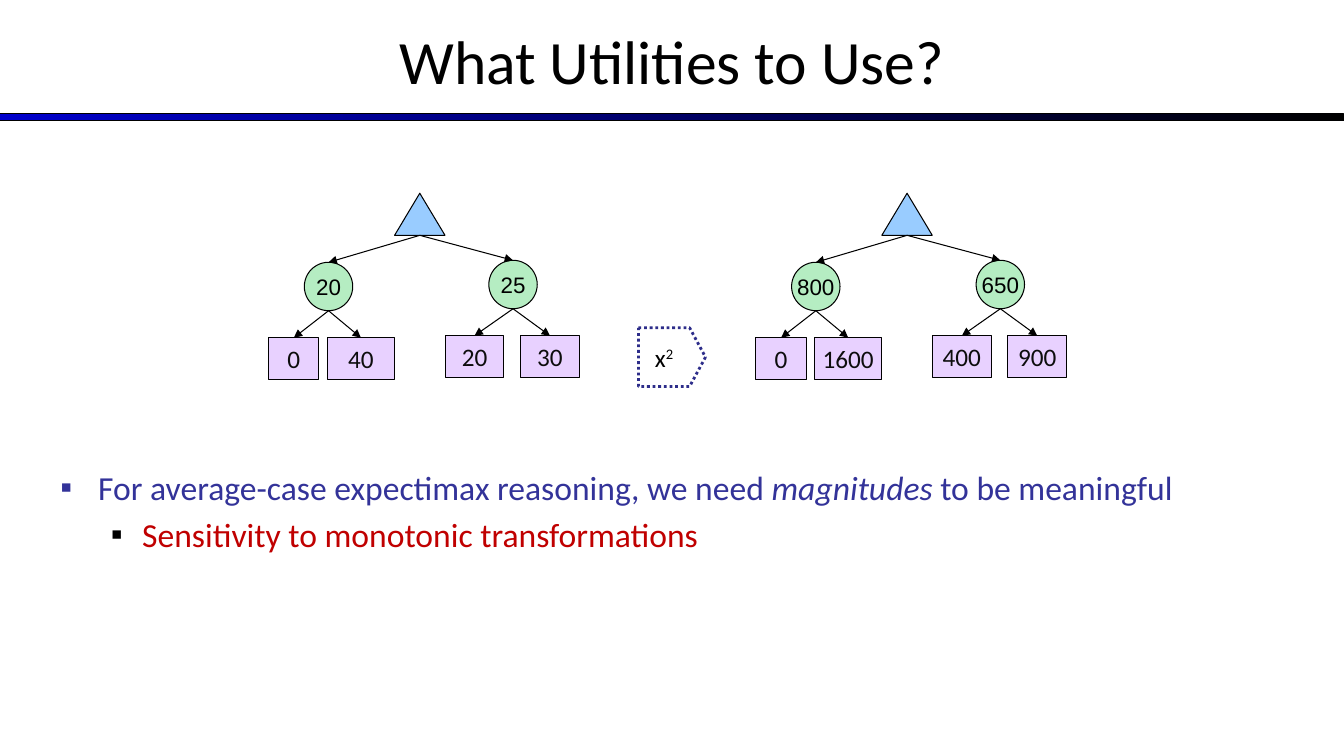
from dataclasses import dataclass

from lxml.etree import SubElement
from pptx import Presentation
from pptx.dml.color import RGBColor
from pptx.enum.dml import MSO_LINE
from pptx.enum.shapes import MSO_CONNECTOR, MSO_SHAPE
from pptx.enum.text import MSO_ANCHOR, MSO_AUTO_SIZE, PP_ALIGN
from pptx.oxml.ns import qn
from pptx.util import Cm, Pt


@dataclass(frozen=True)
class Theme:
    black: str = "000000"
    white: str = "FFFFFF"
    rule: str = "0000CC"
    indigo: str = "333399"
    dotted: str = "2D2D8A"
    red: str = "C00000"
    root: str = "99CCFF"
    chance: str = "B5EDC2"
    leaf: str = "E8D1FF"
    leaf_text: str = "0D0D0D"
    font: str = "Calibri"
    node_font: str = "Arial"
    title_size: float = 44
    body_size: float = 24
    leaf_size: float = 18
    node_size: float = 16
    outline: float = 0.75


THEME = Theme()
SLIDE_WIDTH, SLIDE_HEIGHT = 33.87, 19.05
LEAF_HEIGHT = 1.06
NODE_SIZE = 1.22


def rgb(color):
    return RGBColor.from_string(color)


def set_font(font, size, color, name=THEME.font):
    font.name, font.size = name, Pt(size)
    font.color.rgb = rgb(color)


def add_figure(page, kind, left, top, width, height, fill):
    shape = page.shapes.add_shape(kind, Cm(left), Cm(top), Cm(width), Cm(height))
    shape.shadow.inherit = False
    shape.fill.solid()
    shape.fill.fore_color.rgb = rgb(fill)
    shape.line.color.rgb = rgb(THEME.black)
    shape.line.width = Pt(THEME.outline)
    return shape


def add_label(shape, text, size, color, name=THEME.font):
    frame = shape.text_frame
    frame.word_wrap = False
    frame.vertical_anchor = MSO_ANCHOR.MIDDLE
    frame.margin_left = frame.margin_right = 0
    para = frame.paragraphs[0]
    para.text = text
    para.alignment = PP_ALIGN.CENTER
    set_font(para.font, size, color, name)


def add_arrow(page, start, end, target=None):
    points = [Cm(value) for value in (*start, *end)]
    arrow = page.shapes.add_connector(MSO_CONNECTOR.STRAIGHT, *points)
    if target is not None:
        arrow.end_connect(target, 0)
    arrow.line.color.rgb = rgb(THEME.black)
    arrow.line.width = Pt(THEME.outline)
    SubElement(arrow.line._get_or_add_ln(), qn("a:tailEnd"), type="triangle")
    SubElement(arrow._element.spPr, qn("a:effectLst"))


def add_branch(page, left, top, root, node_offset, leaf_boxes, value, leaves):
    middle = left + node_offset + NODE_SIZE / 2
    leaf_top = top + 1.9
    for (offset, width), text in zip(leaf_boxes, leaves):
        leaf = add_figure(page, MSO_SHAPE.RECTANGLE, left + offset, leaf_top,
                          width, LEAF_HEIGHT, THEME.leaf)
        add_label(leaf, text, THEME.leaf_size, THEME.leaf_text)
        add_arrow(page, (middle, top + NODE_SIZE),
                  (left + offset + width / 2, leaf_top), leaf)
    node = add_figure(page, MSO_SHAPE.OVAL, left + node_offset, top,
                      NODE_SIZE, NODE_SIZE, THEME.chance)
    add_label(node, value, THEME.node_size, THEME.black, THEME.node_font)
    add_arrow(page, root, (middle, top))


def add_tree(page, left, top, first, second):
    root = (left + 3.81, top + LEAF_HEIGHT)
    add_figure(page, MSO_SHAPE.ISOSCELES_TRIANGLE, root[0] - 0.635, top,
               1.27, LEAF_HEIGHT, THEME.root)
    add_branch(page, left, top + 1.74, root, 0.9,
               [(0, 1.27), (1.48, 1.69)], *first)
    add_branch(page, left + 4.45, top + 1.69, root, 1.1,
               [(0, 1.48), (1.9, 1.48)], *second)


def add_transform(page, left, top, width, height):
    shape = add_figure(page, MSO_SHAPE.RIGHT_ARROW, left, top, width, height, THEME.white)
    shape.adjustments[0], shape.adjustments[1] = 1, 0.27
    shape.line.color.rgb = rgb(THEME.dotted)
    shape.line.width = Pt(2)
    shape.line.dash_style = MSO_LINE.ROUND_DOT
    add_label(shape, "x", THEME.leaf_size, THEME.black)
    power = shape.text_frame.paragraphs[0].add_run()
    power.text = "2"
    power.font._element.set("baseline", "30000")


def place(box, left, top, width, height):
    box.left, box.top, box.width, box.height = Cm(left), Cm(top), Cm(width), Cm(height)
    box.text_frame.auto_size = MSO_AUTO_SIZE.NONE


def add_heading(page, left, top, width, height):
    title = page.shapes.title
    place(title, left, top, width, height)
    title.text_frame.vertical_anchor = MSO_ANCHOR.MIDDLE
    para = title.text_frame.paragraphs[0]
    para.text = "What Utilities to Use?"
    para.alignment = PP_ALIGN.CENTER
    set_font(para.font, THEME.title_size, THEME.black)
    rule = add_figure(page, MSO_SHAPE.RECTANGLE, left, top + 2.95, width, 0.18, THEME.rule)
    rule.fill.gradient()
    rule.fill.gradient_angle = 0
    for stop, color in zip(rule.fill.gradient_stops, (THEME.rule, THEME.black)):
        stop.color.rgb = rgb(color)


def format_bullet(para, margin, hanging, bullet_color, color, space):
    properties = para._p.get_or_add_pPr()
    properties.set("marL", str(Cm(margin)))
    properties.set("indent", str(-Cm(hanging)))
    tint = SubElement(properties, qn("a:buClr"))
    SubElement(tint, qn("a:srgbClr"), val=bullet_color)
    SubElement(properties, qn("a:buFont"), typeface="Arial")
    SubElement(properties, qn("a:buChar"), char="▪")
    para.space_before = Pt(space)
    set_font(para.font, THEME.body_size, color)


def add_points(page, left, top, width, height):
    body = page.placeholders[1]
    place(body, left, top, width, height)
    point = body.text_frame.paragraphs[0]
    for text, italic in (("For average-case expectimax reasoning, we need ", None),
                         ("magnitudes", True), (" to be meaningful", None)):
        span = point.add_run()
        span.text, span.font.italic = text, italic
    format_bullet(point, 0.95, 0.95, THEME.indigo, THEME.indigo, 0)
    detail = body.text_frame.add_paragraph()
    detail.text, detail.level = "Sensitivity to monotonic transformations", 1
    format_bullet(detail, 2.06, 0.79, THEME.black, THEME.red, THEME.body_size * 0.2)


def main():
    deck = Presentation()
    deck.slide_width, deck.slide_height = Cm(SLIDE_WIDTH), Cm(SLIDE_HEIGHT)
    page = deck.slides.add_slide(deck.slide_layouts[1])
    add_heading(page, 0, -0.08, SLIDE_WIDTH, 3.18)
    add_points(page, 1.27, 11.63, 30.68, 6.55)
    add_tree(page, 6.77, 4.87, ("20", ("0", "40")), ("25", ("20", "30")))
    add_transform(page, 16.09, 8.26, 1.69, 1.48)
    add_tree(page, 19.05, 4.87, ("800", ("0", "1600")), ("650", ("400", "900")))
    deck.save("out.pptx")


if __name__ == "__main__":
    main()
